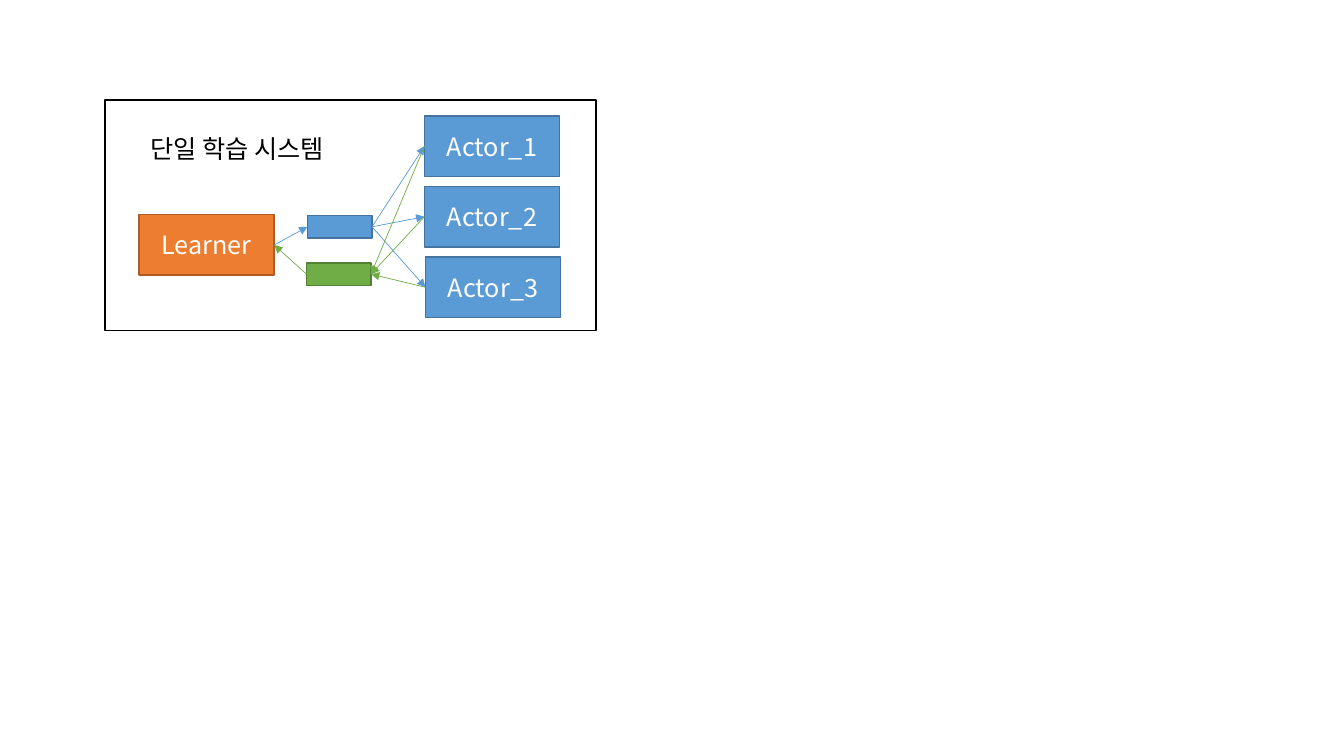
from lxml import etree
from pptx import Presentation
from pptx.dml.color import RGBColor
from pptx.enum.shapes import MSO_CONNECTOR, MSO_SHAPE
from pptx.enum.text import MSO_ANCHOR, PP_ALIGN
from pptx.oxml.ns import qn
from pptx.util import Inches, Pt

RECT = MSO_SHAPE.RECTANGLE
STRAIGHT = MSO_CONNECTOR.STRAIGHT
CENTER = PP_ALIGN.CENTER
MIDDLE = MSO_ANCHOR.MIDDLE
LEFT_SIDE, RIGHT_SIDE = 1, 3

FONT = "Noto Sans CJK KR"
BLUE, BLUE_EDGE = "5B9BD5", "43739E"
GREEN, GREEN_EDGE = "70AD47", "538035"
ORANGE, ORANGE_EDGE = "ED7D31", "AF5C24"
BLACK, WHITE = "000000", "FFFFFF"
NODE_SIZE = (1.34, 0.6)
BUFFER_SIZE = (0.64, 0.22)


def rgb(value):
    return RGBColor.from_string(value)


def write(tf, text, size=18, color=BLACK, align=CENTER):
    tf.word_wrap = True
    p = tf.paragraphs[0]
    p.alignment = align
    r = p.add_run()
    r.text = text
    r.font.size = Pt(size)
    r.font.name = FONT
    r.font.color.rgb = rgb(color)
    etree.SubElement(r.font._element, qn("a:ea"), typeface=FONT)


def add_box(slide, pos, size, edge, fill=None, text=None):
    sp = slide.shapes.add_shape(RECT, *map(Inches, pos + size))
    sp.shadow.inherit = False
    if fill:
        sp.fill.solid()
        sp.fill.fore_color.rgb = rgb(fill)
    else:
        sp.fill.background()
    sp.line.color.rgb = rgb(edge)
    sp.line.width = Pt(1)
    if text:
        sp.text_frame.vertical_anchor = MIDDLE
        write(sp.text_frame, text, color=WHITE)
    return sp


def add_label(slide, pos, size, text):
    sp = slide.shapes.add_textbox(*map(Inches, pos + size))
    write(sp.text_frame, text)


def add_arrow(slide, start, start_side, end, end_side, color):
    cxn = slide.shapes.add_connector(STRAIGHT, 0, 0, 0, 0)
    cxn.begin_connect(start, start_side)
    cxn.end_connect(end, end_side)
    cxn.line.color.rgb = rgb(color)
    cxn.line.width = Pt(0.5)
    sp_pr = cxn._element.spPr
    etree.SubElement(sp_pr.find(qn("a:ln")), qn("a:tailEnd"), type="triangle")
    etree.SubElement(sp_pr, qn("a:effectLst"))


def main():
    prs = Presentation()
    prs.slide_width, prs.slide_height = Inches(13.33), Inches(7.5)
    slide = prs.slides.add_slide(prs.slide_layouts[6])

    learner = add_box(slide, (1.38, 2.13), NODE_SIZE, ORANGE_EDGE, ORANGE, "Learner")
    actors = [
        add_box(slide, (left, 1.15 + 0.7 * i), NODE_SIZE, BLUE_EDGE, BLUE, f"Actor_{i + 1}")
        for i, left in enumerate((4.21, 4.21, 4.22))
    ]
    green_buffer = add_box(slide, (3.04, 2.61), BUFFER_SIZE, GREEN_EDGE, GREEN)
    blue_buffer = add_box(slide, (3.05, 2.14), BUFFER_SIZE, BLUE_EDGE, BLUE)
    add_box(slide, (1.04, 0.99), (4.87, 2.29), BLACK)
    add_label(slide, (1.28, 1.27), (2.14, 0.4), "단일 학습 시스템")

    add_arrow(slide, learner, RIGHT_SIDE, blue_buffer, LEFT_SIDE, BLUE)
    for actor in actors:
        add_arrow(slide, blue_buffer, RIGHT_SIDE, actor, LEFT_SIDE, BLUE)
    for actor in actors:
        add_arrow(slide, actor, LEFT_SIDE, green_buffer, RIGHT_SIDE, GREEN)
    add_arrow(slide, green_buffer, LEFT_SIDE, learner, RIGHT_SIDE, GREEN)

    prs.save("out.pptx")


main()
